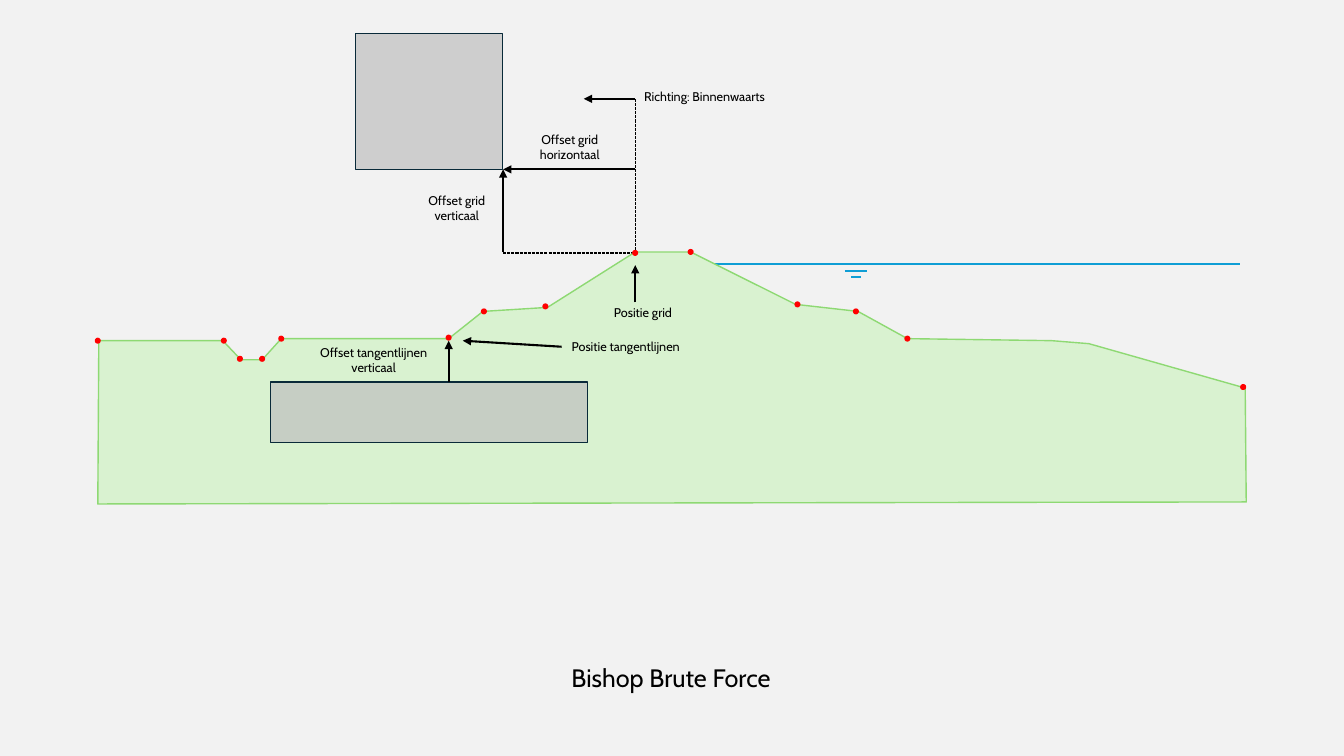
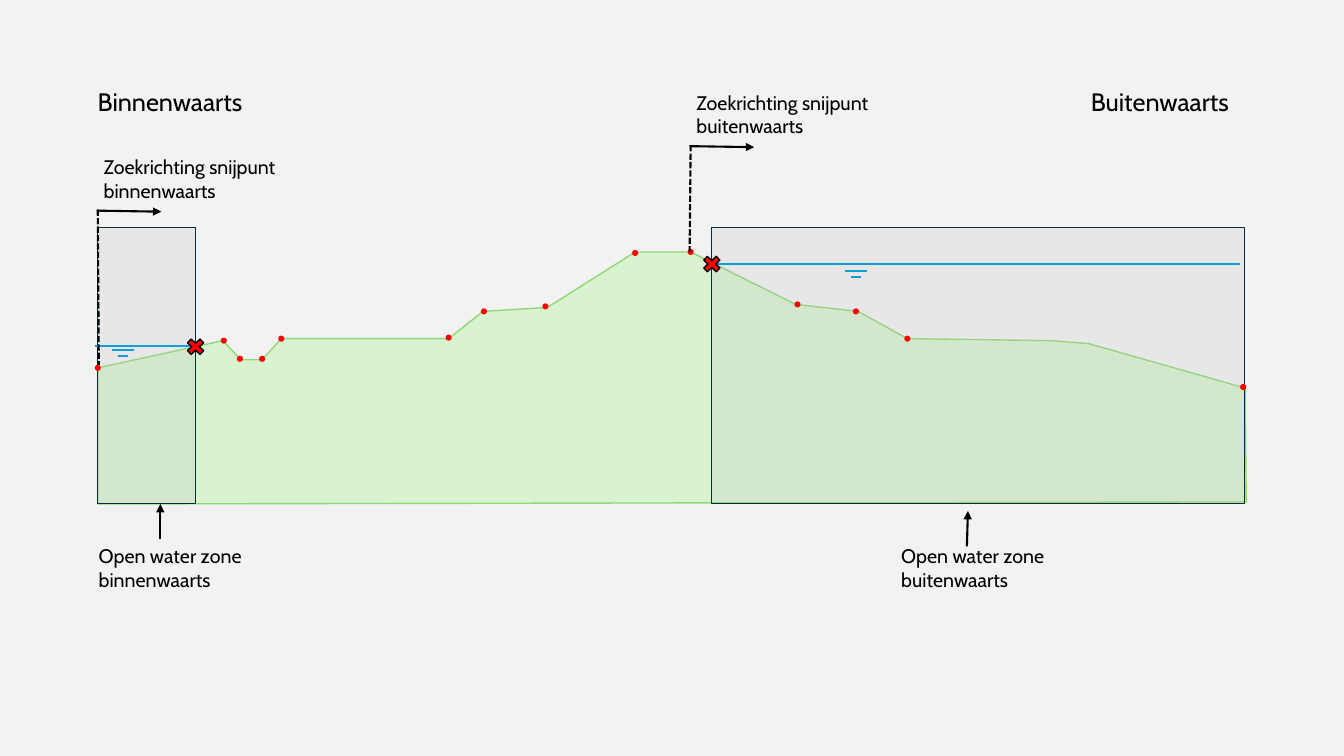
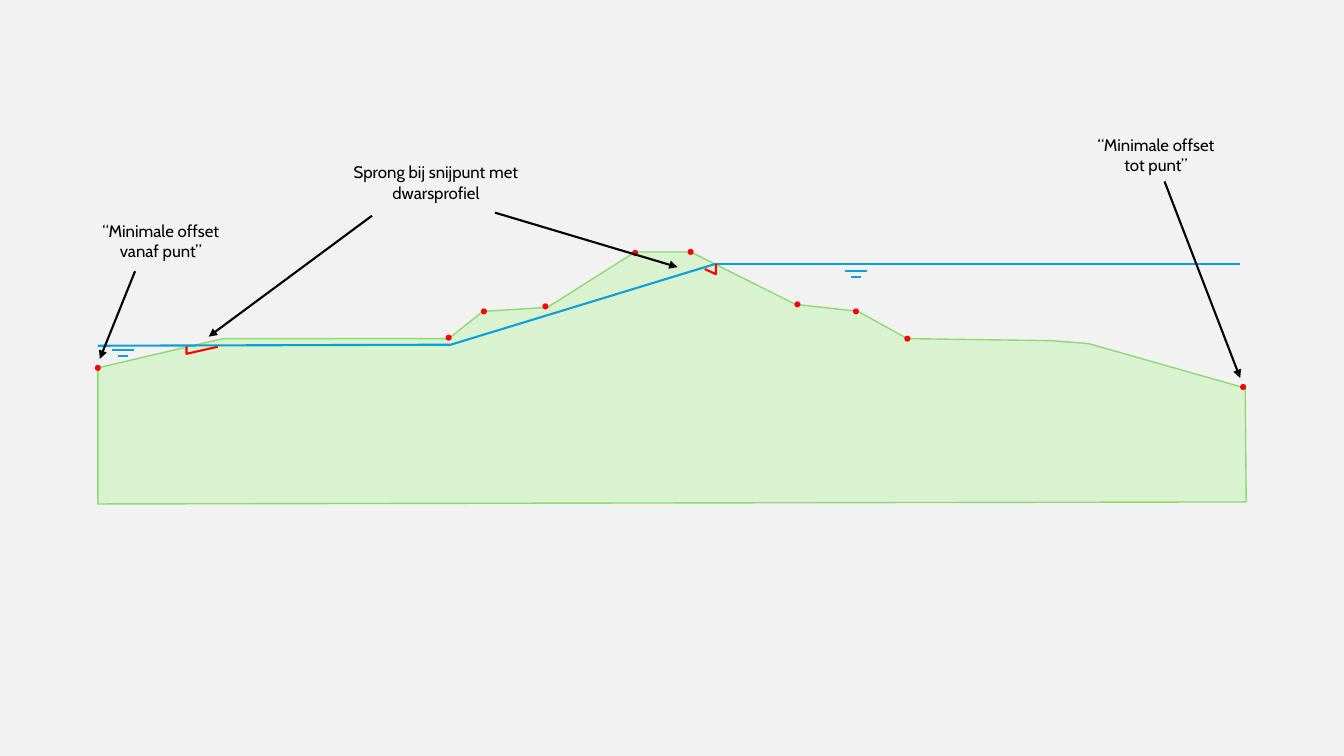
import pptx
import pptx.dml.color
import pptx.enum.dml
import pptx.enum.shapes
import pptx.enum.text
import pptx.oxml.ns
import pptx.util
from lxml import etree

Inches = pptx.util.Inches
KIND = pptx.enum.shapes.MSO_SHAPE

# Shared look
FONT = "Cabin"
BACK, BLACK, RED, BLUE = "F2F2F2", "000000", "FF0000", "0F9ED5"
GRASS, EDGE, GREY, NAVY = "D9F2D0", "8ED973", "BFBFBF", "092A39"

# Ground outline: shared dike, then one inland end for each kind of profile
DIKE = [(0.97, 5), (12.36, 4.98), (12.35, 3.85), (10.8, 3.41), (10.43, 3.38),
        (9, 3.36), (8.51, 3.09), (7.89, 3.02), (6.85, 2.5), (6.3, 2.5),
        (5.43, 3.05), (4.79, 3.09), (4.45, 3.36), (2.79, 3.36)]
DITCH = [(2.6, 3.57), (2.39, 3.57), (2.21, 3.38)]
HIGH, LOW = (0.98, 3.38), (0.97, 3.65)
FLAT = [(2.21, 3.36), LOW]

# Centres of the profile dots
DIKE_DOTS = [(4.45, 3.35), (4.8, 3.09), (5.41, 3.04), (6.3, 2.51), (6.85, 2.5),
             (7.91, 3.02), (8.49, 3.09), (9, 3.36), (12.33, 3.84)]
DITCH_DOTS = [(2.22, 3.38), (2.38, 3.56), (2.6, 3.56), (2.79, 3.36)]


def tint(code):
    return pptx.dml.color.RGBColor.from_string(code)


def add_tag(parent, name, **attrs):
    return etree.SubElement(parent, pptx.oxml.ns.qn(name), attrs)


def paint(shape, fill=None, alpha=100, line=None, weight=0.75):
    """Set fill and outline of a shape; None means no paint."""
    shape.shadow.inherit = False
    if fill:
        shape.fill.solid()
        shape.fill.fore_color.rgb = tint(fill)
        if alpha < 100:
            solid = shape._element.spPr.find(pptx.oxml.ns.qn("a:solidFill"))
            add_tag(solid[0], "a:alpha", val=str(alpha * 1000))
    else:
        shape.fill.background()
    if line:
        shape.line.color.rgb = tint(line)
        shape.line.width = pptx.util.Pt(weight)
    else:
        shape.line.fill.background()


def add_form(slide, kind, left, top, width, height, **look):
    shape = slide.shapes.add_shape(
        kind, Inches(left), Inches(top), Inches(width), Inches(height))
    paint(shape, **look)


def add_free(slide, points, close=False, **look):
    spots = [(Inches(x), Inches(y)) for x, y in points]
    pen = slide.shapes.build_freeform(*spots[0], scale=1.0)
    pen.add_line_segments(spots[1:], close=close)
    paint(pen.convert_to_shape(), **look)


def add_line(slide, start, end, color=BLACK, weight=1.5, dash=False, arrow=False):
    line = slide.shapes.add_connector(
        pptx.enum.shapes.MSO_CONNECTOR.STRAIGHT,
        *[Inches(n) for n in (*start, *end)])
    line.line.color.rgb = tint(color)
    line.line.width = pptx.util.Pt(weight)
    if dash:
        line.line.dash_style = pptx.enum.dml.MSO_LINE.SQUARE_DOT
    props = line._element.spPr
    if arrow:
        add_tag(props.find(pptx.oxml.ns.qn("a:ln")), "a:tailEnd", type="triangle")
    add_tag(props, "a:effectLst")


def add_text(slide, text, left, top, width, height, size=9, center=False, wrap=True):
    box = slide.shapes.add_textbox(
        Inches(left), Inches(top), Inches(width), Inches(height))
    frame = box.text_frame
    frame.word_wrap = wrap
    frame.auto_size = pptx.enum.text.MSO_AUTO_SIZE.SHAPE_TO_FIT_TEXT
    frame.text = text
    align = pptx.enum.text.PP_ALIGN
    for para in frame.paragraphs:
        para.alignment = align.CENTER if center else align.LEFT
        for run in para.runs:
            run.font.name = FONT
            run.font.size = pptx.util.Pt(size)
            run.font.color.rgb = tint(BLACK)


# Parts of the cross section
def add_ground(slide, inland):
    add_free(slide, DIKE + inland, close=True, fill=GRASS, line=EDGE, weight=1)


def add_dots(slide, spots):
    for x, y in spots:
        add_form(slide, KIND.OVAL, x - 0.03, y - 0.03, 0.06, 0.06, fill=RED)


def add_mark(slide, left, top):
    """Water level sign: a long bar over a short one."""
    add_line(slide, (left, top), (left + 0.22, top), color=BLUE)
    add_line(slide, (left + 0.06, top + 0.06), (left + 0.16, top + 0.06), color=BLUE)


def add_sea(slide):
    add_line(slide, (7.07, 2.62), (12.3, 2.62), color=BLUE)
    add_mark(slide, 8.38, 2.69)


def draw_grid(slide):
    # Guides and section
    add_line(slide, (4.99, 2.51), (6.29, 2.51), weight=0.75, dash=True)
    add_line(slide, (6.3, 0.98), (6.3, 2.52), weight=0.75, dash=True)
    add_sea(slide)
    add_ground(slide, DITCH + [HIGH])
    add_dots(slide, [(0.97, 3.38)] + DITCH_DOTS + DIKE_DOTS)
    # Search areas
    for area in [(3.53, 0.33, 1.45, 1.35), (2.68, 3.79, 3.15, 0.6)]:
        add_form(slide, KIND.RECTANGLE, *area, fill=GREY, alpha=70, line=NAVY)
    # Arrows
    for start, end in [((6.3, 3), (6.3, 2.63)), ((6.3, 0.98), (5.79, 0.98)),
                       ((6.3, 1.68), (4.99, 1.68)), ((4.99, 2.5), (4.99, 1.68)),
                       ((5.57, 3.44), (4.59, 3.38)), ((4.45, 3.79), (4.45, 3.38))]:
        add_line(slide, start, end, arrow=True)
    # Labels
    add_text(slide, "Richting: Binnenwaarts", 6.29, 0.83, 1.91, 0.25)
    add_text(slide, "Positie grid", 5.99, 2.98, 0.98, 0.25)
    add_text(slide, "Positie tangentlijnen", 5.57, 3.31, 1.68, 0.25)
    add_text(slide, "Offset grid\nhorizontaal", 5.24, 1.26, 0.82, 0.4,
             center=True, wrap=False)
    add_text(slide, "Offset grid\nverticaal", 4.13, 1.86, 0.8, 0.4,
             center=True, wrap=False)
    add_text(slide, "Offset tangentlijnen\nverticaal", 2.98, 3.37, 1.45, 0.4,
             center=True)
    add_text(slide, "Bishop Brute Force", 5.57, 6.52, 2.26, 0.4, size=18, wrap=False)


def draw_zones(slide):
    # Section with open water zones
    add_ground(slide, DITCH + [LOW])
    for left, width in [(7.06, 5.28), (0.97, 0.97)]:
        add_form(slide, KIND.RECTANGLE, left, 2.26, width, 2.74,
                 fill=GREY, alpha=20, line=NAVY)
    add_sea(slide)
    add_dots(slide, [LOW] + DITCH_DOTS + DIKE_DOTS)
    add_line(slide, (0.94, 3.43), (1.94, 3.43), color=BLUE)
    add_mark(slide, 1.11, 3.47)
    # Crossings of water and ground
    for left, top in [(1.82, 3.33), (6.94, 2.51)]:
        add_form(slide, KIND.MATH_MULTIPLY, left, top, 0.24, 0.22,
                 fill=RED, line=BLACK, weight=1)
    # Search lines and arrows
    add_line(slide, (6.85, 1.44), (6.84, 2.5), dash=True)
    add_line(slide, (0.97, 2.08), (0.98, 3.62), dash=True)
    for start, end in [((6.84, 1.45), (7.48, 1.46)), ((0.96, 2.09), (1.6, 2.1)),
                       ((1.59, 5.35), (1.59, 5)), ((9.59, 5.42), (9.6, 5.07))]:
        add_line(slide, start, end, arrow=True)
    # Labels
    add_text(slide, "Binnenwaarts", 0.87, 0.81, 1.7, 0.4, size=18, wrap=False)
    add_text(slide, "Buitenwaarts", 10.72, 0.81, 1.65, 0.4, size=18, wrap=False)
    for text, left, top, width in [
            ("Zoekrichting snijpunt buitenwaarts", 6.81, 0.85, 2.16),
            ("Zoekrichting snijpunt binnenwaarts", 0.93, 1.49, 2.16),
            ("Open water zone binnenwaarts", 0.88, 5.35, 1.88),
            ("Open water zone buitenwaarts", 8.84, 5.35, 1.88)]:
        add_text(slide, text, left, top, width, 0.57, size=14)


def draw_offset(slide):
    # Section
    add_ground(slide, FLAT)
    add_sea(slide)
    add_dots(slide, [LOW] + DIKE_DOTS)
    add_mark(slide, 1.11, 3.47)
    # Water line through the dike, and its jumps
    add_free(slide, [(7.09, 2.62), (4.47, 3.42), (0.97, 3.43)], line=BLUE, weight=1.5)
    for jump in [[(7.1, 2.62), (7.1, 2.72), (6.99, 2.67)],
                 [(1.85, 3.44), (1.85, 3.51), (2.16, 3.44)]]:
        add_free(slide, jump, line=RED, weight=1.5)
    # Arrows
    for start, end in [((1.34, 2.69), (0.99, 3.56)), ((11.55, 1.8), (12.3, 3.75)),
                       ((3.69, 2.14), (2.07, 3.34)), ((4.91, 2.11), (6.72, 2.65))]:
        add_line(slide, start, end, arrow=True)
    # Labels
    for text, left, top, width in [
            ("“Minimale offset tot punt”", 10.74, 1.29, 1.45),
            ("“Minimale offset vanaf punt”", 0.72, 2.14, 1.75),
            ("Sprong bij snijpunt met dwarsprofiel", 3.36, 1.56, 1.93)]:
        add_text(slide, text, left, top, width, 0.5, size=12, center=True)


def main():
    deck = pptx.Presentation()
    deck.slide_width, deck.slide_height = Inches(13.33), Inches(7.5)
    back = deck.slide_master.background.fill
    back.solid()
    back.fore_color.rgb = tint(BACK)
    for draw in (draw_grid, draw_zones, draw_offset):
        draw(deck.slides.add_slide(deck.slide_layouts[6]))
    deck.save("out.pptx")


if __name__ == "__main__":
    main()
